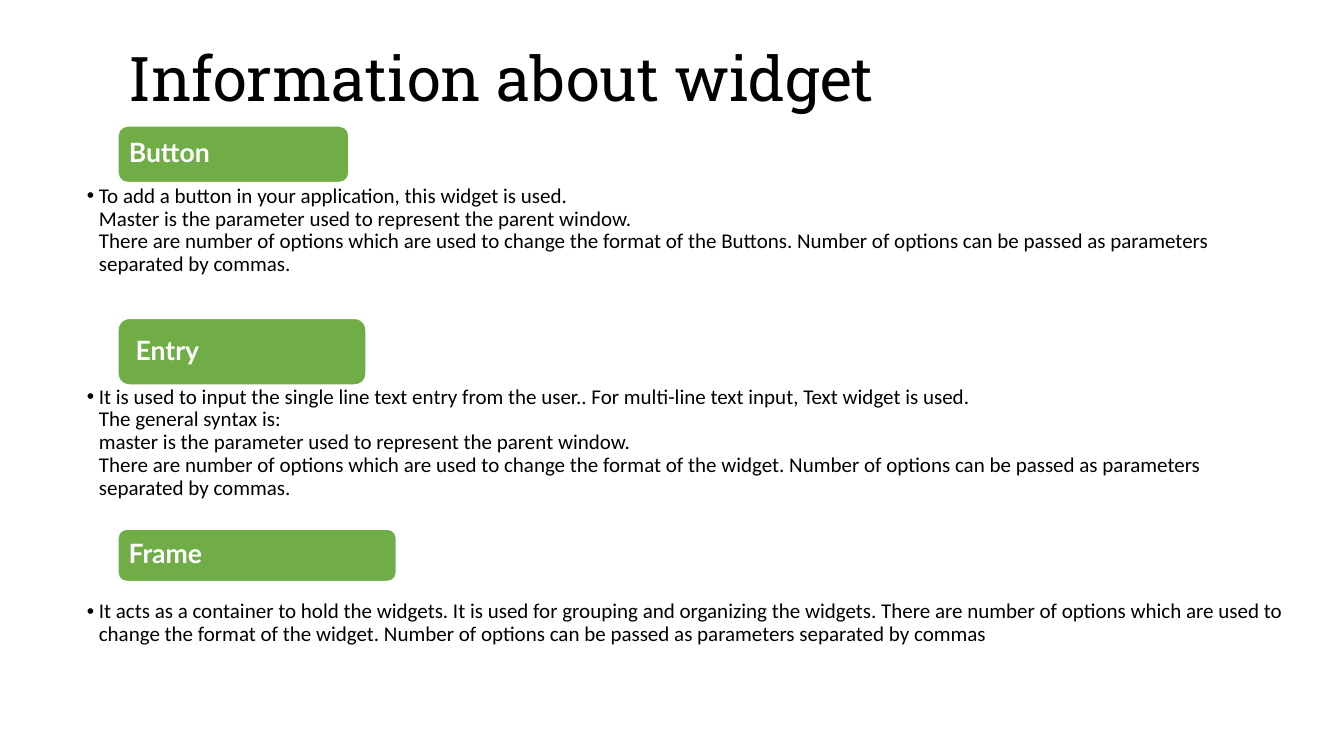
from copy import deepcopy

from lxml import etree
from pptx import Presentation
from pptx.dml.color import RGBColor
from pptx.enum.shapes import MSO_SHAPE
from pptx.enum.text import MSO_ANCHOR, MSO_AUTO_SIZE, PP_ALIGN
from pptx.oxml.ns import qn
from pptx.util import Inches, Pt

ROUNDED = MSO_SHAPE.ROUNDED_RECTANGLE
TOP, MIDDLE = MSO_ANCHOR.TOP, MSO_ANCHOR.MIDDLE
NO_FIT = MSO_AUTO_SIZE.NONE
LEFT = PP_ALIGN.LEFT

BLACK = RGBColor(0x00, 0x00, 0x00)
WHITE = RGBColor(0xFF, 0xFF, 0xFF)
GREEN = RGBColor(0x70, 0xAD, 0x47)

PAGE_WIDTH, PAGE_HEIGHT = Inches(13.33), Inches(7.5)
COMPARISON_LAYOUT = 4
LIST_PLACEHOLDERS = (1, 2, 3)
SPARE_PLACEHOLDER = 4

# Shares of the slide, in percent
LABEL_LEFT = 8.78
LIST_LEFT, LIST_WIDTH = 3.53, 93.17

# Label, (label top, width, height), (list top, height), lines of the list item
SECTIONS = [
    ("Button", (16.67, 17.18, 7.47), (24.13, 17.73), [
        "To add a button in your application, this widget is used.",
        "Master is the parameter used to represent the parent window.",
        "There are number of options which are used to change the format of the "
        "Buttons. Number of options can be passed as parameters separated by commas. ",
    ]),
    (" Entry", (42.13, 18.45, 8.8), (50.67, 21.47), [
        "It is used to input the single line text entry from the user.. "
        "For multi-line text input, Text widget is used.",
        "The general syntax is:",
        "master is the parameter used to represent the parent window.",
        "There are number of options which are used to change the format of the "
        "widget. Number of options can be passed as parameters separated by commas.",
    ]),
    ("Frame", (70, 20.71, 6.93), (79.07, 13.6), [
        "It acts as a container to hold the widgets. It is used for grouping and "
        "organizing the widgets. There are number of options which are used to "
        "change the format of the widget. Number of options can be passed as "
        "parameters separated by commas",
    ]),
]


def area(left, top, width, height):
    """Turn percentages of the slide into lengths."""
    return (int(PAGE_WIDTH * left / 100), int(PAGE_HEIGHT * top / 100),
            int(PAGE_WIDTH * width / 100), int(PAGE_HEIGHT * height / 100))


def move(shape, box):
    shape.left, shape.top, shape.width, shape.height = box


def set_frame(frame, anchor, left, top, right, bottom):
    frame.word_wrap = True
    frame.auto_size = NO_FIT
    frame.vertical_anchor = anchor
    frame.margin_left, frame.margin_top = Inches(left), Inches(top)
    frame.margin_right, frame.margin_bottom = Inches(right), Inches(bottom)


def set_text(frame, text, font, size, color, bold=False):
    """Write one left-aligned paragraph and format its runs and breaks."""
    para = frame.paragraphs[0]
    para.text = text
    para.alignment = LEFT
    para.line_spacing = 0.9
    para.space_before = para.space_after = Pt(0)
    for span in para.runs:
        span.font.name = font
        span.font.size = Pt(size)
        span.font.bold = bold
        span.font.color.rgb = color
    properties = para.runs[0].font._element
    for line_break in para._p.findall(qn("a:br")):
        line_break.append(deepcopy(properties))
    return para


def add_bullet(para, indent):
    properties = para._p.get_or_add_pPr()
    properties.set("marL", str(Inches(indent)))
    properties.set("indent", str(-Inches(indent)))
    etree.SubElement(properties, qn("a:buFont")).set("typeface", "Arial")
    etree.SubElement(properties, qn("a:buChar")).set("char", "•")


def add_title(page, text):
    title = page.shapes.title
    move(title, area(LABEL_LEFT, 0, 81.25, 21.6))
    set_frame(title.text_frame, MIDDLE, 0.1, 0.05, 0.1, 0.05)
    set_text(title.text_frame, text, "Roboto Slab", 44, BLACK)


def add_label(page, text, top, width, height):
    label = page.shapes.add_shape(ROUNDED, *area(LABEL_LEFT, top, width, height))
    label.shadow.inherit = False
    label.fill.solid()
    label.fill.fore_color.rgb = GREEN
    label.line.color.rgb = WHITE
    label.line.width = Pt(1)
    set_frame(label.text_frame, MIDDLE, 0.08, 0.08, 0.08, 0.08)
    set_text(label.text_frame, text, "Lato", 19, WHITE, bold=True)


def fill_list(body, lines, top, height):
    move(body, area(LIST_LEFT, top, LIST_WIDTH, height))
    set_frame(body.text_frame, TOP, 0.39, 0.03, 0.15, 0.03)
    para = set_text(body.text_frame, "\n".join(lines), "Calibri", 15, BLACK)
    add_bullet(para, 0.12)


def main():
    deck = Presentation()
    deck.slide_width, deck.slide_height = PAGE_WIDTH, PAGE_HEIGHT
    page = deck.slides.add_slide(deck.slide_layouts[COMPARISON_LAYOUT])
    bodies = {body.placeholder_format.idx: body for body in page.placeholders}

    # Title
    add_title(page, "Information about widget")

    # A green label above the description of each widget
    for index, (name, label_box, list_box, lines) in zip(LIST_PLACEHOLDERS, SECTIONS):
        add_label(page, name, *label_box)
        fill_list(bodies[index], lines, *list_box)

    # The layout holds one body more than needed
    spare = bodies[SPARE_PLACEHOLDER]._element
    spare.getparent().remove(spare)

    deck.save("out.pptx")


if __name__ == "__main__":
    main()
